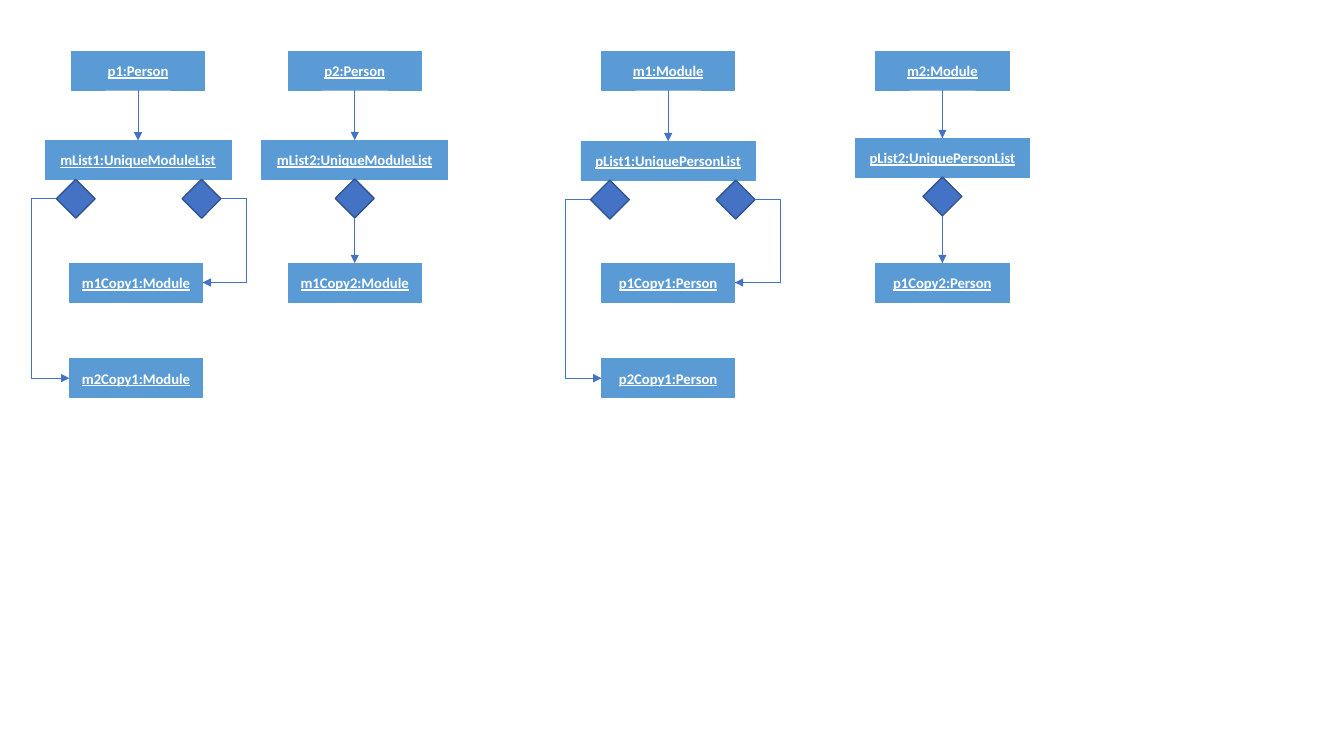
import pptx
import pptx.dml.color
import pptx.enum.shapes
import pptx.enum.text
import pptx.oxml
import pptx.oxml.ns
import pptx.util
from pptx.util import Cm

BOX_BLUE = pptx.dml.color.RGBColor(0x5B, 0x9B, 0xD5)
LINK_BLUE = pptx.dml.color.RGBColor(0x44, 0x72, 0xC4)
DIAMOND_EDGE = pptx.dml.color.RGBColor(0x32, 0x54, 0x91)
WHITE = pptx.dml.color.RGBColor(0xFF, 0xFF, 0xFF)

SHAPES = pptx.enum.shapes.MSO_SHAPE
CONNECTORS = pptx.enum.shapes.MSO_CONNECTOR

HEIGHT = 0.98
OBJECT_WIDTH = 3.36
MODULE_LIST_WIDTH = 4.68
PERSON_LIST_WIDTH = 4.4
HEAD_TOP = 1.29
COPY_TOP = 6.63
SECOND_COPY_TOP = 9.04
ELBOW_REACH = 0.64


def add_text(s, text, size=10.5, font="Calibri", color=WHITE, bold=True, underline=True):
    tf = s.text_frame
    tf.word_wrap = True
    tf.margin_left = tf.margin_right = 0
    tf.vertical_anchor = pptx.enum.text.MSO_ANCHOR.MIDDLE
    p = tf.paragraphs[0]
    p.alignment = pptx.enum.text.PP_ALIGN.CENTER
    r = p.add_run()
    r.text = text
    r.font.size = pptx.util.Pt(size)
    r.font.name = font
    r.font.color.rgb = color
    r.font.bold = bold
    r.font.underline = underline


def add_node(slide, kind, center, top, width, fill, edge, weight):
    s = slide.shapes.add_shape(kind, Cm(center - width / 2), Cm(top), Cm(width), Cm(HEIGHT))
    s.shadow.inherit = False
    s.fill.solid()
    s.fill.fore_color.rgb = fill
    s.line.color.rgb = edge
    s.line.width = pptx.util.Pt(weight)
    return s


def add_box(slide, text, center, top, width=OBJECT_WIDTH):
    s = add_node(slide, SHAPES.RECTANGLE, center, top, width, BOX_BLUE, BOX_BLUE, 0.5)
    add_text(s, text)


def add_diamond(slide, center, top):
    add_node(slide, SHAPES.DIAMOND, center, top, HEIGHT, LINK_BLUE, DIAMOND_EDGE, 1)


def add_arrow(slide, x1, y1, x2, y2, kind=CONNECTORS.STRAIGHT):
    c = slide.shapes.add_connector(kind, Cm(x1), Cm(y1), Cm(x2), Cm(y2))
    c.line.color.rgb = LINK_BLUE
    c.line.width = pptx.util.Pt(0.5)
    ns = pptx.oxml.ns.nsdecls("a")
    tail = pptx.oxml.parse_xml(f'<a:tailEnd {ns} type="triangle"/>')
    c.line._get_or_add_ln().append(tail)
    c._element.spPr.append(pptx.oxml.parse_xml(f"<a:effectLst {ns}/>"))
    return c


def add_elbow(slide, x1, y1, x2, y2):
    c = add_arrow(slide, x1, y1, x2, y2, CONNECTORS.ELBOW)
    bend = round(-100000 * ELBOW_REACH / abs(x2 - x1))
    ns = pptx.oxml.ns.nsdecls("a")
    guide = pptx.oxml.parse_xml(f'<a:gd {ns} name="adj1" fmla="val {bend}"/>')
    c._element.spPr.find(".//" + pptx.oxml.ns.qn("a:avLst")).append(guide)


def add_head(slide, center, list_top, list_width, head, list_name):
    add_box(slide, head, center, HEAD_TOP)
    add_box(slide, list_name, center, list_top, list_width)
    add_arrow(slide, center, HEAD_TOP + HEIGHT, center, list_top)


def add_single_chain(slide, center, list_top, list_width, head, list_name, copy_name):
    add_head(slide, center, list_top, list_width, head, list_name)
    diamond_top = list_top + HEIGHT
    add_diamond(slide, center, diamond_top)
    add_box(slide, copy_name, center, COPY_TOP)
    add_arrow(slide, center, diamond_top + HEIGHT, center, COPY_TOP)


def add_double_chain(slide, center, list_top, list_width, head, list_name,
                     copy_names, copy_center, diamond_centers):
    add_head(slide, center, list_top, list_width, head, list_name)
    diamond_top = list_top + HEIGHT
    for diamond_center in diamond_centers:
        add_diamond(slide, diamond_center, diamond_top)
    tops = (COPY_TOP, SECOND_COPY_TOP)
    for copy_name, top in zip(copy_names, tops):
        add_box(slide, copy_name, copy_center, top)
    left, right = diamond_centers
    start = diamond_top + HEIGHT / 2
    first_y, second_y = (top + HEIGHT / 2 for top in tops)
    add_elbow(slide, right + HEIGHT / 2, start, copy_center + OBJECT_WIDTH / 2, first_y)
    add_elbow(slide, left - HEIGHT / 2, start, copy_center - OBJECT_WIDTH / 2, second_y)


def main():
    prs = pptx.Presentation()
    prs.slide_width = Cm(33.87)
    prs.slide_height = Cm(19.05)
    slide = prs.slides.add_slide(prs.slide_layouts[6])
    add_double_chain(slide, 3.48, 3.54, MODULE_LIST_WIDTH, "p1:Person",
                     "mList1:UniqueModuleList", ("m1Copy1:Module", "m2Copy1:Module"),
                     3.43, (1.91, 5.08))
    add_single_chain(slide, 8.94, 3.53, MODULE_LIST_WIDTH, "p2:Person",
                     "mList2:UniqueModuleList", "m1Copy2:Module")
    add_double_chain(slide, 16.84, 3.56, PERSON_LIST_WIDTH, "m1:Module",
                     "pList1:UniquePersonList", ("p1Copy1:Person", "p2Copy1:Person"),
                     16.84, (15.37, 18.54))
    add_single_chain(slide, 23.75, 3.48, PERSON_LIST_WIDTH, "m2:Module",
                     "pList2:UniquePersonList", "p1Copy2:Person")
    prs.save("out.pptx")


if __name__ == "__main__":
    main()
